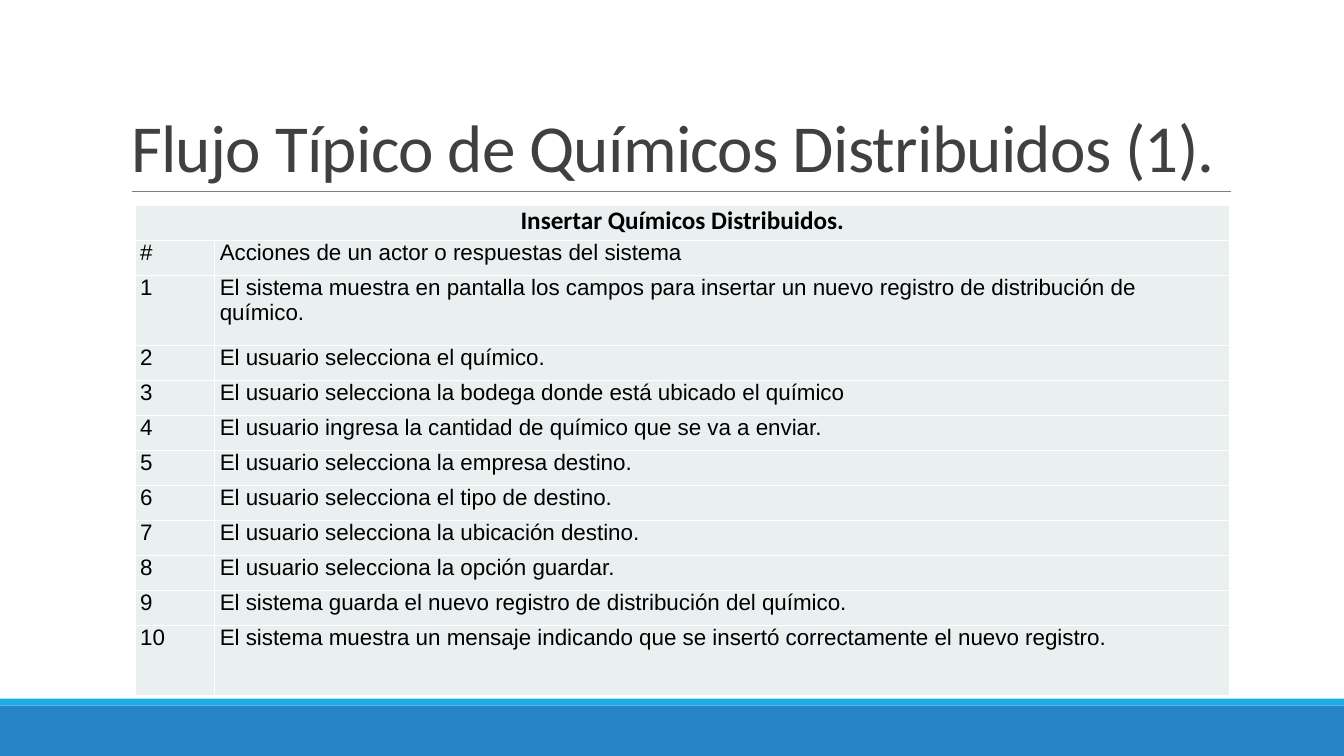
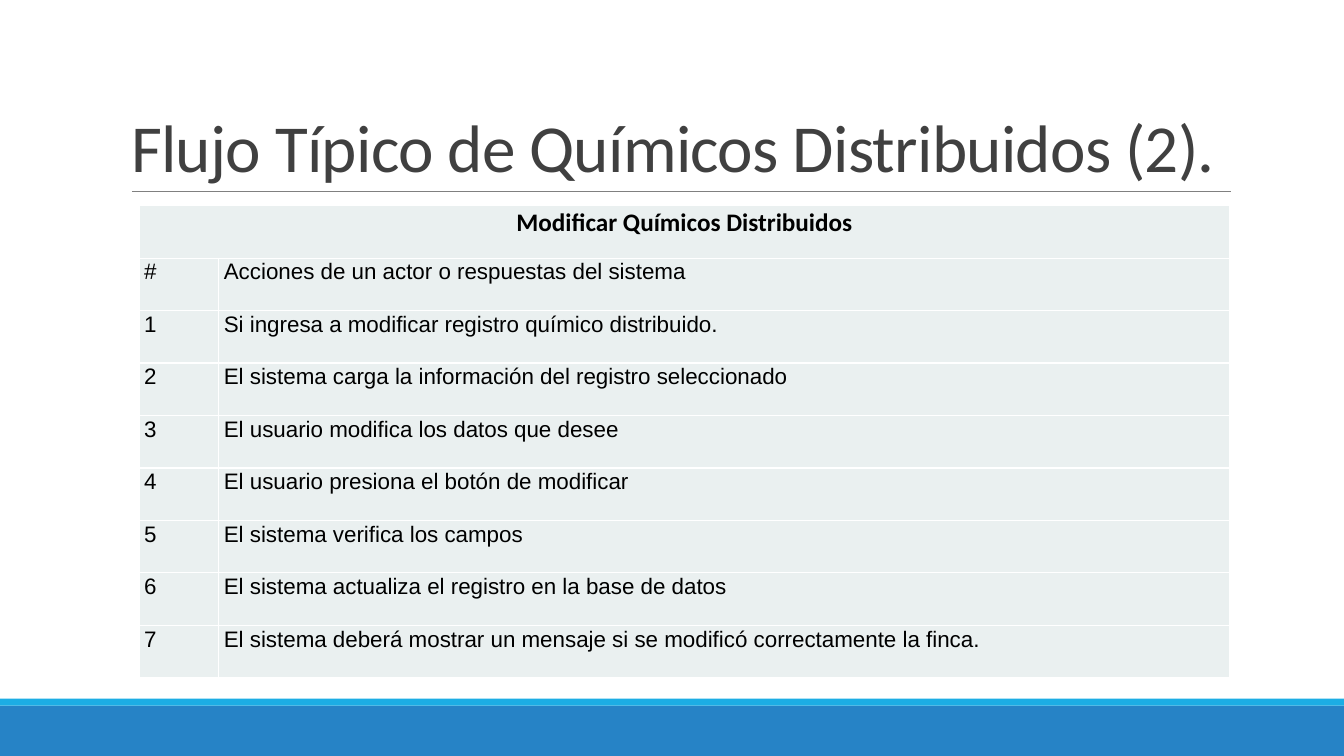
"""Build two slides that list the typical flows for distributed chemicals."""
from dataclasses import dataclass

from lxml import etree
from pptx import Presentation
from pptx.dml.color import RGBColor
from pptx.enum.shapes import MSO_CONNECTOR, MSO_SHAPE
from pptx.enum.text import MSO_ANCHOR, MSO_AUTO_SIZE, PP_ALIGN
from pptx.oxml.ns import qn
from pptx.util import Pt

STRAIGHT = MSO_CONNECTOR.STRAIGHT
RECTANGLE = MSO_SHAPE.RECTANGLE
BOTTOM = MSO_ANCHOR.BOTTOM
NO_AUTOFIT = MSO_AUTO_SIZE.NONE
LEFT, CENTER = PP_ALIGN.LEFT, PP_ALIGN.CENTER

TITLE_ONLY = 5
SLIDE_WIDTH, SLIDE_HEIGHT = 960, 540
TABLE_TOP, TABLE_RIGHT = 146.9, 878.4
NUMBER_WIDTH = 56.9
CELL_MARGIN = 3.6


@dataclass(frozen=True)
class Theme:
    """Colours, fonts and type sizes of the presentation."""
    band: str = "2683C6"
    accent: str = "1CADE4"
    rule: str = "808080"
    title: str = "404040"
    text: str = "000000"
    cell: str = "EAF0F0"
    border: str = "FFFFFF"
    heading_font: str = "Calibri"
    body_font: str = "Arial"
    title_size: float = 48
    heading_size: float = 18
    body_size: float = 16


def color(value):
    """Turn a hexadecimal value into a colour."""
    return RGBColor.from_string(value)


def write_text(frame, text, *, font, size, ink, bold=False, align=LEFT, spacing=1.0, tracking=0):
    """Write one formatted paragraph into a text frame."""
    paragraph = frame.paragraphs[0]
    paragraph.alignment = align
    paragraph.line_spacing = spacing
    run = paragraph.add_run()
    run.text = text
    run.font.name = font
    run.font.size = Pt(size)
    run.font.bold = bold
    run.font.color.rgb = color(ink)
    if tracking:
        run._r.get_or_add_rPr().set("spc", str(round(tracking * 100)))


def add_borders(cell, ink, width):
    """Draw a solid border on each side of a cell."""
    properties = cell._tc.get_or_add_tcPr()
    for side in ("a:lnL", "a:lnR", "a:lnT", "a:lnB"):
        line = etree.SubElement(properties, qn(side), w=str(Pt(width)))
        fill = etree.SubElement(line, qn("a:solidFill"))
        etree.SubElement(fill, qn("a:srgbClr"), val=ink)


class Deck:
    """Hold the style and the current slide."""

    def __init__(self, theme):
        """Start an empty widescreen presentation."""
        self.theme = theme
        self.presentation = Presentation()
        self.presentation.slide_width = Pt(SLIDE_WIDTH)
        self.presentation.slide_height = Pt(SLIDE_HEIGHT)
        self.slide = None

    def add_slide(self, title):
        """Add a slide with the shared bands, title and rule."""
        layout = self.presentation.slide_layouts[TITLE_ONLY]
        self.slide = self.presentation.slides.add_slide(layout)
        self.add_band(504, 36, self.theme.band)
        self.add_band(499, 5, self.theme.accent)
        self.add_rule(94.3, 879.1, 136.8)
        self.add_title(title)

    def add_band(self, top, height, fill):
        """Add a full-width band."""
        band = self.slide.shapes.add_shape(RECTANGLE, 0, Pt(top), Pt(SLIDE_WIDTH), Pt(height))
        band.shadow.inherit = False
        band.fill.solid()
        band.fill.fore_color.rgb = color(fill)
        band.line.fill.background()

    def add_rule(self, left, right, top):
        """Add a thin horizontal line."""
        rule = self.slide.shapes.add_connector(STRAIGHT, Pt(left), Pt(top), Pt(right), Pt(top))
        rule.line.color.rgb = color(self.theme.rule)
        rule.line.width = Pt(0.5)
        etree.SubElement(rule._element.spPr, qn("a:effectLst"))

    def add_title(self, text):
        """Place and fill the title placeholder."""
        theme = self.theme
        title = self.slide.shapes.title
        title.left, title.top, title.width, title.height = Pt(86.4), Pt(22.3), Pt(792), Pt(114.5)
        frame = title.text_frame
        frame.word_wrap = True
        frame.auto_size = NO_AUTOFIT
        frame.vertical_anchor = BOTTOM
        write_text(frame, text, font=theme.heading_font, size=theme.title_size,
                   ink=theme.title, spacing=0.85, tracking=-0.5)

    def add_flow_table(self, heading, steps, *, left, row_height, tall_steps=(), spacing=1.0):
        """Add a table with a merged heading and numbered steps."""
        rows = [(heading, ""), ("#", "Acciones de un actor o respuestas del sistema")]
        rows += [(str(number), step) for number, step in enumerate(steps, 1)]
        heights = [row_height * (2 if number in tall_steps else 1)
                   for number in range(-1, len(steps) + 1)]
        width = TABLE_RIGHT - left
        table = self.slide.shapes.add_table(len(rows), 2, Pt(left), Pt(TABLE_TOP),
                                            Pt(width), Pt(sum(heights))).table
        table.first_row = table.horz_banding = False
        table.columns[0].width = Pt(NUMBER_WIDTH)
        table.columns[1].width = Pt(width - NUMBER_WIDTH)
        table.cell(0, 0).merge(table.cell(0, 1))
        for row, (height, texts) in enumerate(zip(heights, rows)):
            table.rows[row].height = Pt(height)
            for column, text in enumerate(texts):
                self.fill_cell(table.cell(row, column), text, spacing, is_heading=row == 0)

    def fill_cell(self, cell, text, spacing, is_heading):
        """Style one table cell and write its text."""
        theme = self.theme
        cell.margin_left = cell.margin_right = Pt(CELL_MARGIN)
        cell.margin_top = cell.margin_bottom = 0
        add_borders(cell, theme.border, 1)
        cell.fill.solid()
        cell.fill.fore_color.rgb = color(theme.cell)
        if not text:
            return
        write_text(cell.text_frame, text, ink=theme.text, spacing=spacing, bold=is_heading,
                   font=theme.heading_font if is_heading else theme.body_font,
                   size=theme.heading_size if is_heading else theme.body_size,
                   align=CENTER if is_heading else LEFT)


def main():
    """Build and save the presentation."""
    deck = Deck(Theme())

    deck.add_slide("Flujo Típico de Químicos Distribuidos (1).")
    deck.add_flow_table("Insertar Químicos Distribuidos.", [
        "El sistema muestra en pantalla los campos para insertar un nuevo registro "
        "de distribución de químico.",
        "El usuario selecciona el químico.",
        "El usuario selecciona la bodega donde está ubicado el químico",
        "El usuario ingresa la cantidad de químico que se va a enviar.",
        "El usuario selecciona la empresa destino.",
        "El usuario selecciona el tipo de destino.",
        "El usuario selecciona la ubicación destino.",
        "El usuario selecciona la opción guardar.",
        "El sistema guarda el nuevo registro de distribución del químico.",
        "El sistema muestra un mensaje indicando que se insertó correctamente el nuevo registro.",
    ], left=96.5, row_height=25, tall_steps=(1, 10))

    deck.add_slide("Flujo Típico de Químicos Distribuidos (2).")
    deck.add_flow_table("Modificar Químicos Distribuidos", [
        "Si ingresa a modificar registro químico distribuido.",
        "El sistema carga la información del registro seleccionado",
        "El usuario modifica los datos que desee",
        "El usuario presiona el botón de modificar",
        "El sistema verifica los campos",
        "El sistema actualiza el registro en la base de datos",
        "El sistema deberá mostrar un mensaje si se modificó correctamente la finca.",
    ], left=99.4, row_height=37.5, spacing=1.07)

    deck.presentation.save("out.pptx")


if __name__ == "__main__":
    main()
